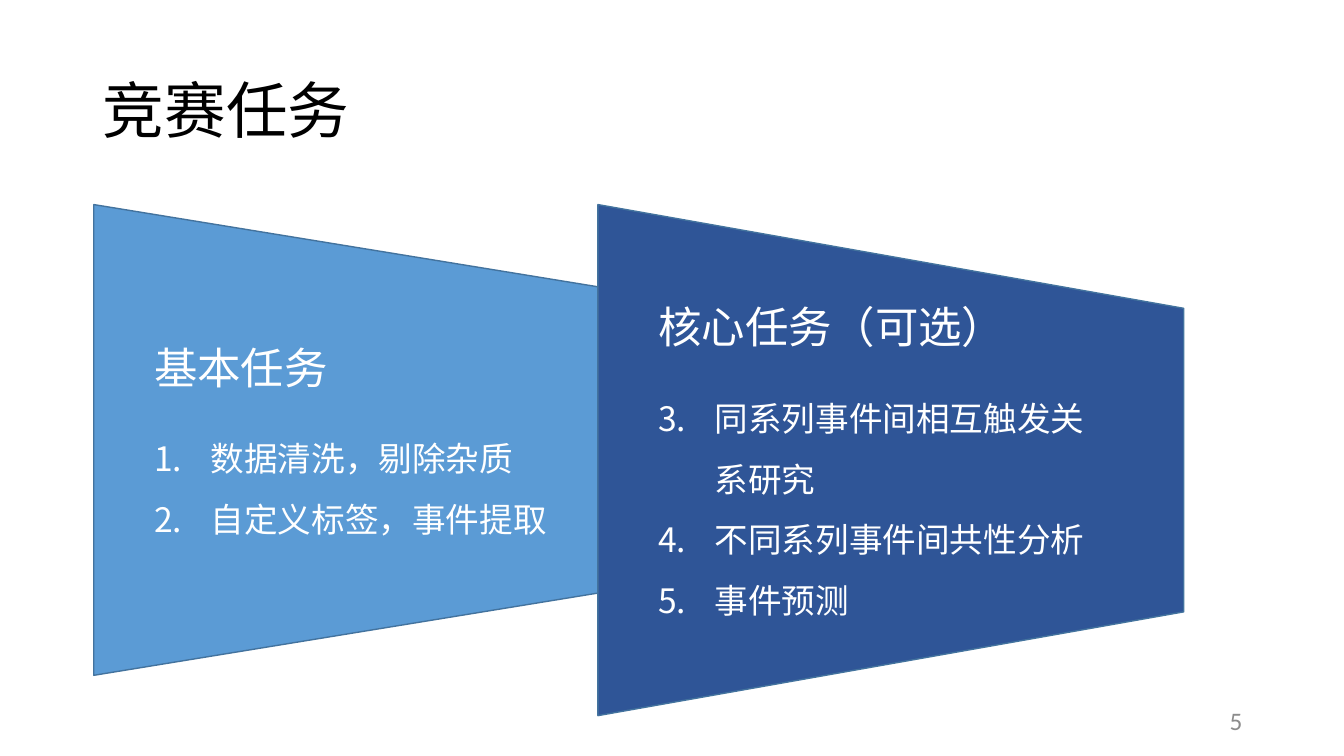
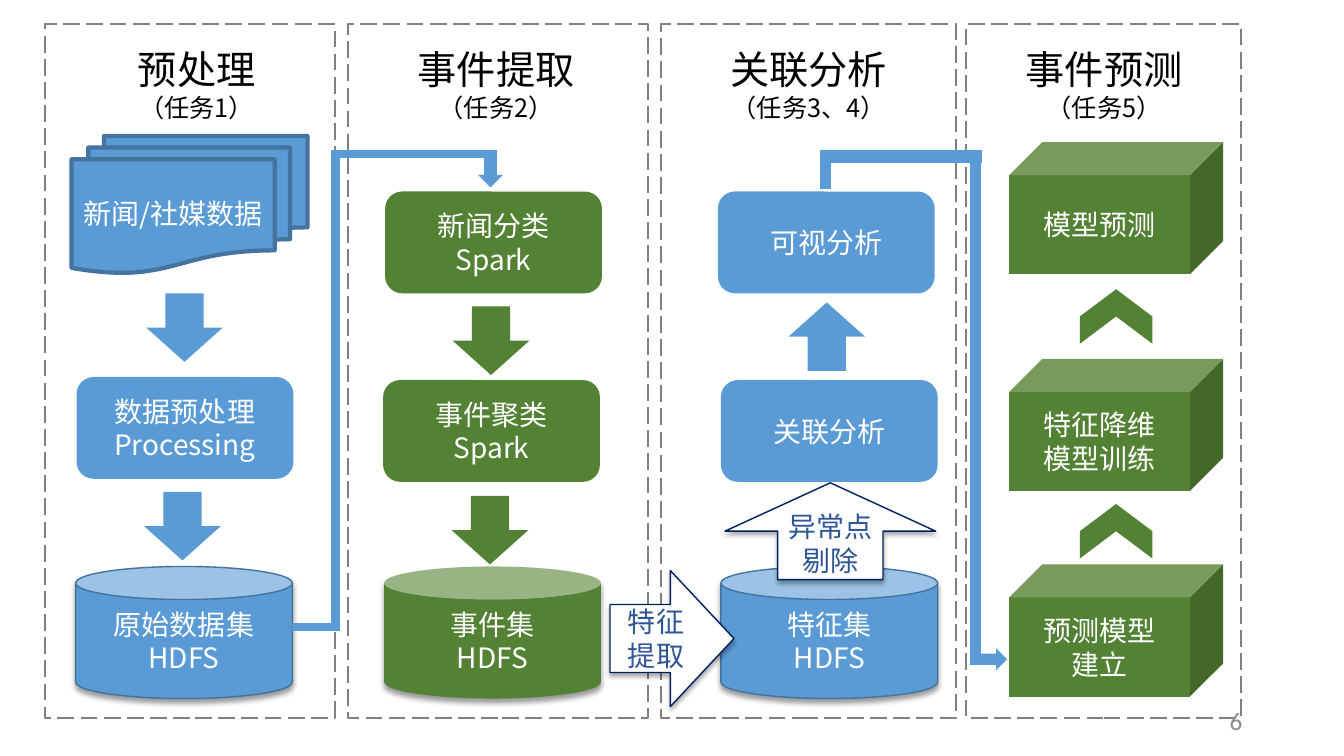
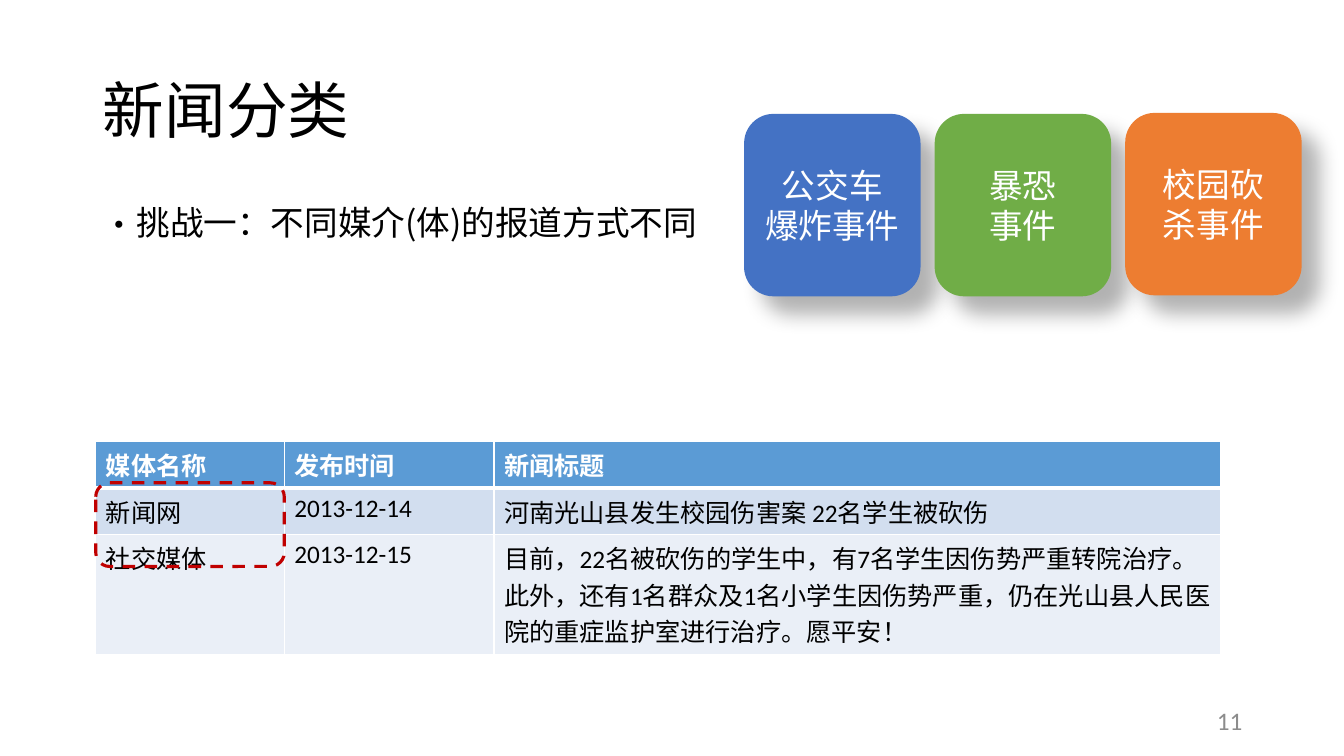
from dataclasses import dataclass
from typing import Optional

from lxml.etree import SubElement
from pptx import Presentation
from pptx.dml.color import RGBColor
from pptx.enum.dml import MSO_LINE as Dash
from pptx.enum.shapes import MSO_SHAPE as Kind
from pptx.enum.text import MSO_ANCHOR as Anchor, MSO_AUTO_SIZE as AutoSize, PP_ALIGN as Align
from pptx.oxml.ns import qn
from pptx.util import Inches, Pt

CJK_FONT = "Noto Sans CJK SC"
LATIN_FONT = "Calibri"
BLACK, WHITE = "000000", "FFFFFF"
BLUE, DARK_BLUE, BLUE_EDGE, NAVY = "5B9BD5", "2F5597", "43739E", "002060"
GREEN, GRAY, RED = "548235", "808080", "C00000"
NUMBER_GRAY = "8C8C8C"
TITLE_ONLY, TITLE_AND_BODY, BLANK = 5, 1, 6


@dataclass(frozen=True)
class Line:
    color: str
    width: float = 1
    dash: Optional[Dash] = None


@dataclass(frozen=True)
class Shadow:
    """Opacity in percent, blur and distance in points, angle in degrees."""
    opacity: float
    blur: float
    distance: float
    angle: float


@dataclass(frozen=True)
class Box:
    kind: Kind
    left: float
    top: float
    width: float
    height: float
    fill: Optional[str] = None
    text: str = ""
    line: Optional[Line] = None
    shadow: Optional[Shadow] = None
    color: str = WHITE
    size: float = 20
    rotation: float = 0
    adjustments: tuple[float, ...] = ()


@dataclass(frozen=True)
class Task:
    box: Box
    heading: str
    items: tuple[str, ...]
    first_number: int


EDGE = Line(BLUE_EDGE)
CAN_SHADOW = Shadow(40, 4, 3, 90)
ARROW_SHADOW = Shadow(32, 3.5, 2.2, 90)
CARD_SHADOW = Shadow(30, 15, 18, 45)


def rgb(color: str) -> RGBColor:
    return RGBColor.from_string(color)


def place(shape, left: float, top: float, width: float, height: float) -> None:
    shape.left, shape.top = Inches(left), Inches(top)
    shape.width, shape.height = Inches(width), Inches(height)


def style_runs(para, size: float, color: str, latin: str = CJK_FONT, bold: bool = False) -> None:
    for span in para.runs:
        font = span.font
        font.size, font.bold, font.name = Pt(size), bold, latin
        font.color.rgb = rgb(color)
        SubElement(span._r.get_or_add_rPr(), qn("a:ea"), typeface=CJK_FONT)


def add_bullet(para, tag: str, margin: float, hanging: float, **attributes: str) -> None:
    properties = para._p.get_or_add_pPr()
    properties.set("marL", str(Inches(margin)))
    properties.set("indent", str(-Inches(hanging)))
    SubElement(properties, qn("a:buFont"), typeface=CJK_FONT)
    SubElement(properties, qn(tag), **attributes)


def set_shadow(shape, shadow: Optional[Shadow]) -> None:
    shape.shadow.inherit = False
    if shadow is None:
        return
    effects = shape._element.spPr.find(qn("a:effectLst"))
    outer = SubElement(effects, qn("a:outerShdw"), blurRad=str(Pt(shadow.blur)),
                       dist=str(Pt(shadow.distance)), dir=str(int(shadow.angle * 60000)),
                       algn="tl", rotWithShape="0")
    color = SubElement(outer, qn("a:srgbClr"), val=BLACK)
    SubElement(color, qn("a:alpha"), val=str(int(shadow.opacity * 1000)))


def draw_box(page, box: Box):
    shape = page.shapes.add_shape(box.kind, 0, 0, 0, 0)
    place(shape, box.left, box.top, box.width, box.height)
    shape.rotation = box.rotation
    for index, value in enumerate(box.adjustments):
        shape.adjustments[index] = value
    if box.fill:
        shape.fill.solid()
        shape.fill.fore_color.rgb = rgb(box.fill)
    else:
        shape.fill.background()
    if box.line:
        shape.line.color.rgb = rgb(box.line.color)
        shape.line.width = Pt(box.line.width)
        if box.line.dash:
            shape.line.dash_style = box.line.dash
    else:
        shape.line.fill.background()
    set_shadow(shape, box.shadow)
    if box.text:
        shape.text_frame.text = box.text
        for para in shape.text_frame.paragraphs:
            para.alignment = Align.CENTER
            style_runs(para, box.size, box.color)
    return shape


def add_page(deck, layout: int, number: int, title: str = ""):
    page = deck.slides.add_slide(deck.slide_layouts[layout])
    if title:
        heading = page.shapes.title
        place(heading, 0.92, 0.4, 11.5, 1.45)
        heading.text_frame.text = title
        heading.text_frame.vertical_anchor = Anchor.MIDDLE
        para = heading.text_frame.paragraphs[0]
        para.alignment, para.line_spacing = Align.LEFT, 0.9
        style_runs(para, 44, BLACK)
    return page


def add_page_number(page, number: int) -> None:
    box = page.shapes.add_textbox(Inches(9.42), Inches(6.95), Inches(3), Inches(0.4))
    box.text_frame.word_wrap = True
    box.text_frame.vertical_anchor = Anchor.MIDDLE
    para = box.text_frame.paragraphs[0]
    para.text = str(number)
    para.alignment = Align.RIGHT
    style_runs(para, 18, NUMBER_GRAY, LATIN_FONT)


def draw_task(page, task: Task) -> None:
    frame = draw_box(page, task.box).text_frame
    frame._txBody.bodyPr.set("vert", "vert270")
    frame.text = "\n".join((task.heading, *task.items))
    heading, *items = frame.paragraphs
    add_bullet(heading, "a:buNone", 0.5, 0)
    heading.alignment, heading.space_after = Align.LEFT, Pt(18)
    style_runs(heading, 31, WHITE)
    for item in items:
        add_bullet(item, "a:buAutoNum", 1.06, 0.56, type="arabicPeriod",
                   startAt=str(task.first_number))
        item.alignment, item.line_spacing = Align.LEFT, 1.5
        style_runs(item, 24, WHITE)


def build_tasks(deck) -> None:
    page = add_page(deck, TITLE_ONLY, 5, "竞赛任务")

    def panel(left: float, top: float, width: float, fill: str) -> Box:
        return Box(Kind.TRAPEZOID, left, top, width, 5.81, fill, line=EDGE,
                   rotation=90, adjustments=(0.203,))

    draw_task(page, Task(panel(1.5, 1.46, 4.67, BLUE), "基本任务",
                         ("数据清洗，剔除杂质", "自定义标签，事件提取"), 1))
    draw_task(page, Task(panel(6.3, 1.66, 5.07, DARK_BLUE), "核心任务（可选）",
                         ("同系列事件间相互触发关系研究", "不同系列事件间共性分析", "事件预测"), 3))
    add_page_number(page, 5)


def stage_frame(left: float, width: float) -> Box:
    return Box(Kind.RECTANGLE, left, 0.24, width, 6.88, line=Line(GRAY, 1.5, Dash.LONG_DASH))


def store(left: float, fill: str, text: str) -> Box:
    return Box(Kind.CAN, left, 5.62, 2.15, 1.31, fill, text,
               EDGE if fill == BLUE else None, CAN_SHADOW)


def step(left: float, top: float, fill: str, text: str) -> Box:
    return Box(Kind.ROUNDED_RECTANGLE, left, top, 2.15, 1.01, fill, text)


def model(top: float, text: str) -> Box:
    return Box(Kind.CUBE, 10.01, top, 2.12, 1.31, GREEN, text)


def flow_arrow(left: float, top: float, fill: str, rotation: float = 0) -> Box:
    return Box(Kind.DOWN_ARROW, left, top, 0.76, 0.68, fill, rotation=rotation)


def chevron(top: float) -> Box:
    return Box(Kind.CHEVRON, 10.8, top, 0.54, 0.72, GREEN, rotation=270)


def pipe(left: float, top: float, width: float, height: float) -> Box:
    return Box(Kind.FLOWCHART_PROCESS, left, top, width, height, BLUE)


def callout_arrow(kind: Kind, left: float, top: float, width: float, height: float,
                  text: str, adjustments: tuple[float, ...] = ()) -> Box:
    return Box(kind, left, top, width, height, WHITE, text, Line(NAVY), ARROW_SHADOW,
               DARK_BLUE, adjustments=adjustments)


WORKFLOW = (
    stage_frame(6.56, 2.92), stage_frame(9.58, 2.73),
    stage_frame(3.45, 2.98), stage_frame(0.45, 2.87),
    store(0.75, BLUE, "原始数据集\nHDFS"),
    store(3.81, GREEN, "事件集\nHDFS"),
    store(7.15, BLUE, "特征集\nHDFS"),
    model(5.6, "预测模型\n建立"),
    Box(Kind.FLOWCHART_MULTIDOCUMENT, 0.71, 1.35, 2.34, 1.36, BLUE, "新闻/社媒数据",
        Line(BLUE_EDGE, 3)),
    step(0.76, 3.74, BLUE, "数据预处理\nProcessing"),
    flow_arrow(1.45, 2.91, BLUE), flow_arrow(1.43, 4.88, BLUE),
    pipe(2.9, 6.18, 0.46, 0.08), pipe(3.28, 1.57, 0.09, 4.69), pipe(3.28, 1.49, 1.58, 0.08),
    Box(Kind.DOWN_ARROW, 4.74, 1.49, 0.25, 0.37, BLUE),
    step(3.82, 1.9, GREEN, "新闻分类\nSpark"),
    step(3.8, 3.77, GREEN, "事件聚类\nSpark"),
    flow_arrow(4.49, 3.04, GREEN), flow_arrow(4.48, 4.92, GREEN),
    callout_arrow(Kind.RIGHT_ARROW, 6.05, 5.66, 1.23, 1.35, "特征\n提取", (0.5, 0.513)),
    flow_arrow(7.82, 3, BLUE, 180),
    step(7.15, 3.77, BLUE, "关联分析"),
    step(7.12, 1.9, BLUE, "可视分析"),
    callout_arrow(Kind.UP_ARROW, 7.19, 4.79, 2.09, 0.96, "异常点剔除"),
    chevron(4.91), chevron(2.78),
    model(3.56, "特征降维\n模型训练"),
    model(1.41, "模型预测"),
    pipe(8.13, 1.55, 0.11, 0.33), pipe(8.13, 1.49, 1.61, 0.13), pipe(9.62, 1.54, 0.11, 5.06),
    Box(Kind.RIGHT_ARROW, 9.63, 6.43, 0.36, 0.22, BLUE),
)
STAGES = (
    (1.04, "预处理", "（任务1）"),
    (4.01, "事件提取", "（任务2）"),
    (7.11, "关联分析", "（任务3、4）"),
    (10.04, "事件预测", "（任务5）"),
)


def build_workflow(deck) -> None:
    page = add_page(deck, BLANK, 6)
    for box in WORKFLOW:
        draw_box(page, box)
    for left, name, tasks in STAGES:
        label = page.shapes.add_textbox(Inches(left), Inches(0.4), Inches(1.82), Inches(0.91))
        frame = label.text_frame
        frame.word_wrap, frame.auto_size = True, AutoSize.SHAPE_TO_FIT_TEXT
        frame.text = f"{name}\n{tasks}"
        for para, size in zip(frame.paragraphs, (28, 18)):
            para.alignment = Align.CENTER
            style_runs(para, size, BLACK)
    add_page_number(page, 6)


NEWS_COLUMNS = (1.87, 2.08, 7.21)
NEWS_ROWS = (
    ("媒体名称", "发布时间", "新闻标题"),
    ("新闻网", "2013-12-14", "河南光山县发生校园伤害案 22名学生被砍伤"),
    ("社交媒体", "2013-12-15",
     "目前，22名被砍伤的学生中，有7名学生因伤势严重转院治疗。此外，还有1名群众及"
     "1名小学生因伤势严重，仍在光山县人民医院的重症监护室进行治疗。愿平安！"),
)
ROW_FILLS = (BLUE, "D2DEEF", "EAEFF7")
ROW_HEIGHT = 0.41
EVENT_CARDS = (
    (1.13, "4472C4", "公交车\n爆炸事件"),
    (1.13, "70AD47", "暴恐\n事件"),
    (1.12, "ED7D31", "校园砍\n杀事件"),
)


def set_borders(cell, top: float, bottom: float) -> None:
    """Draw white borders; must run before the cell is filled."""
    properties = cell._tc.get_or_add_tcPr()
    for side, width in (("L", 1), ("R", 1), ("T", top), ("B", bottom)):
        border = SubElement(properties, qn(f"a:ln{side}"), w=str(Pt(width)))
        SubElement(SubElement(border, qn("a:solidFill")), qn("a:srgbClr"), val=WHITE)


def add_news_table(page) -> None:
    table = page.shapes.add_table(
        len(NEWS_ROWS), len(NEWS_COLUMNS), Inches(0.95), Inches(4.38),
        Inches(sum(NEWS_COLUMNS)), Inches(ROW_HEIGHT * len(NEWS_ROWS))).table
    for column, width in zip(table.columns, NEWS_COLUMNS):
        column.width = Inches(width)
    for index, (row, texts, fill) in enumerate(zip(table.rows, NEWS_ROWS, ROW_FILLS)):
        header = index == 0
        row.height = Inches(ROW_HEIGHT)
        for cell, text in zip(row.cells, texts):
            set_borders(cell, 3 if index == 1 else 1, 3 if header else 1)
            cell.fill.solid()
            cell.fill.fore_color.rgb = rgb(fill)
            cell.text_frame.text = text
            style_runs(cell.text_frame.paragraphs[0], 18, WHITE if header else BLACK,
                       LATIN_FONT, header)


def build_news(deck) -> None:
    page = add_page(deck, TITLE_AND_BODY, 11, "新闻分类")
    body = page.placeholders[1]
    place(body, 0.92, 2, 11.5, 4.76)
    body.text_frame.text = "挑战一：不同媒介(体)的报道方式不同"
    para = body.text_frame.paragraphs[0]
    add_bullet(para, "a:buChar", 0.25, 0.25, char="•")
    para.line_spacing, para.space_before = 0.9, Pt(0)
    style_runs(para, 24, BLACK)
    add_news_table(page)
    draw_box(page, Box(Kind.ROUNDED_RECTANGLE, 0.95, 4.79, 1.87, 0.83,
                       line=Line(RED, 2.25, Dash.DASH)))
    for index, (top, fill, text) in enumerate(EVENT_CARDS):
        draw_box(page, Box(Kind.ROUNDED_RECTANGLE, 7.38 + 1.89 * index, top, 1.75, 1.81,
                           fill, text, shadow=CARD_SHADOW, size=24))
    add_page_number(page, 11)


def main() -> None:
    deck = Presentation()
    deck.slide_width, deck.slide_height = Inches(13.33), Inches(7.5)
    build_tasks(deck)
    build_workflow(deck)
    build_news(deck)
    deck.save("out.pptx")


if __name__ == "__main__":
    main()
